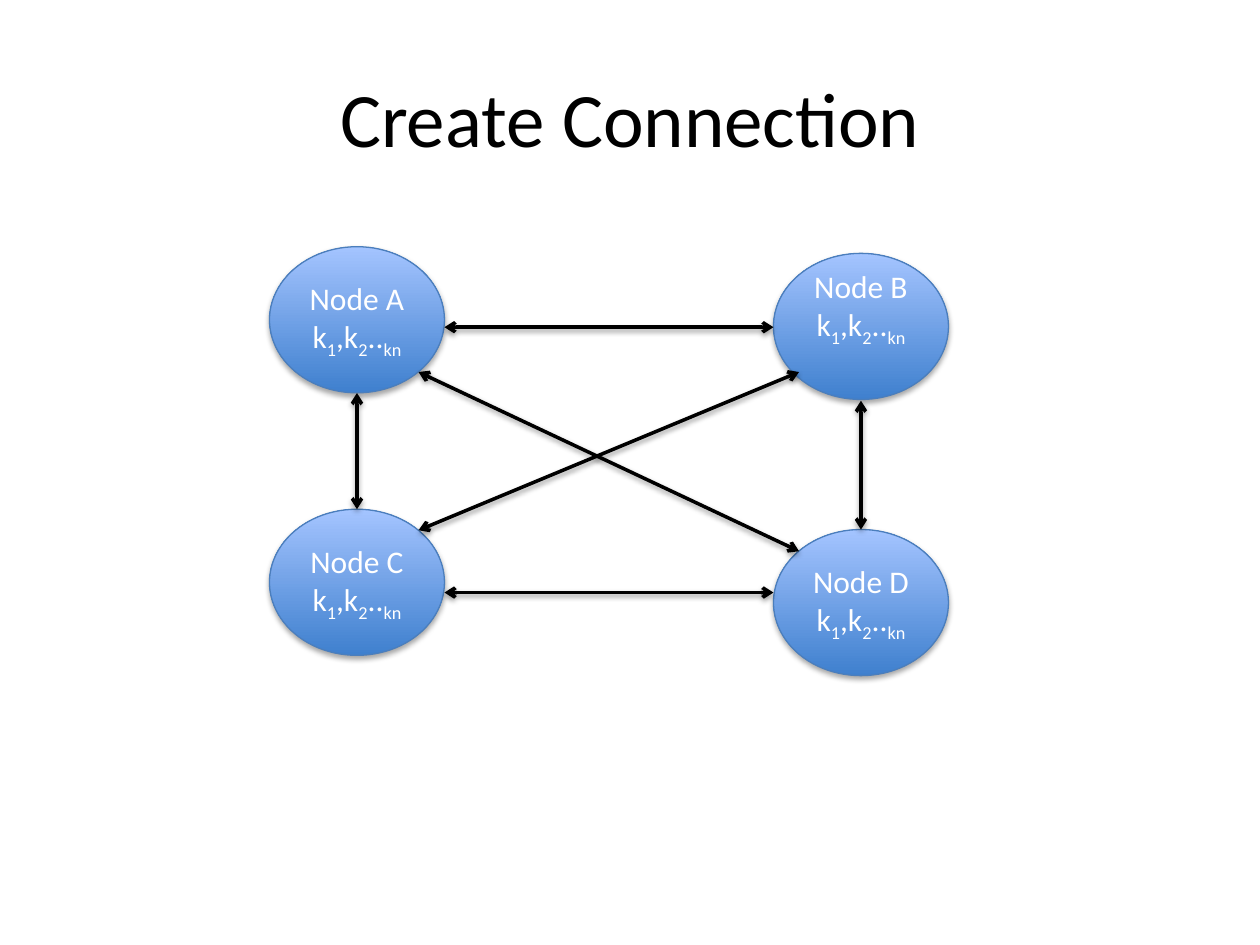
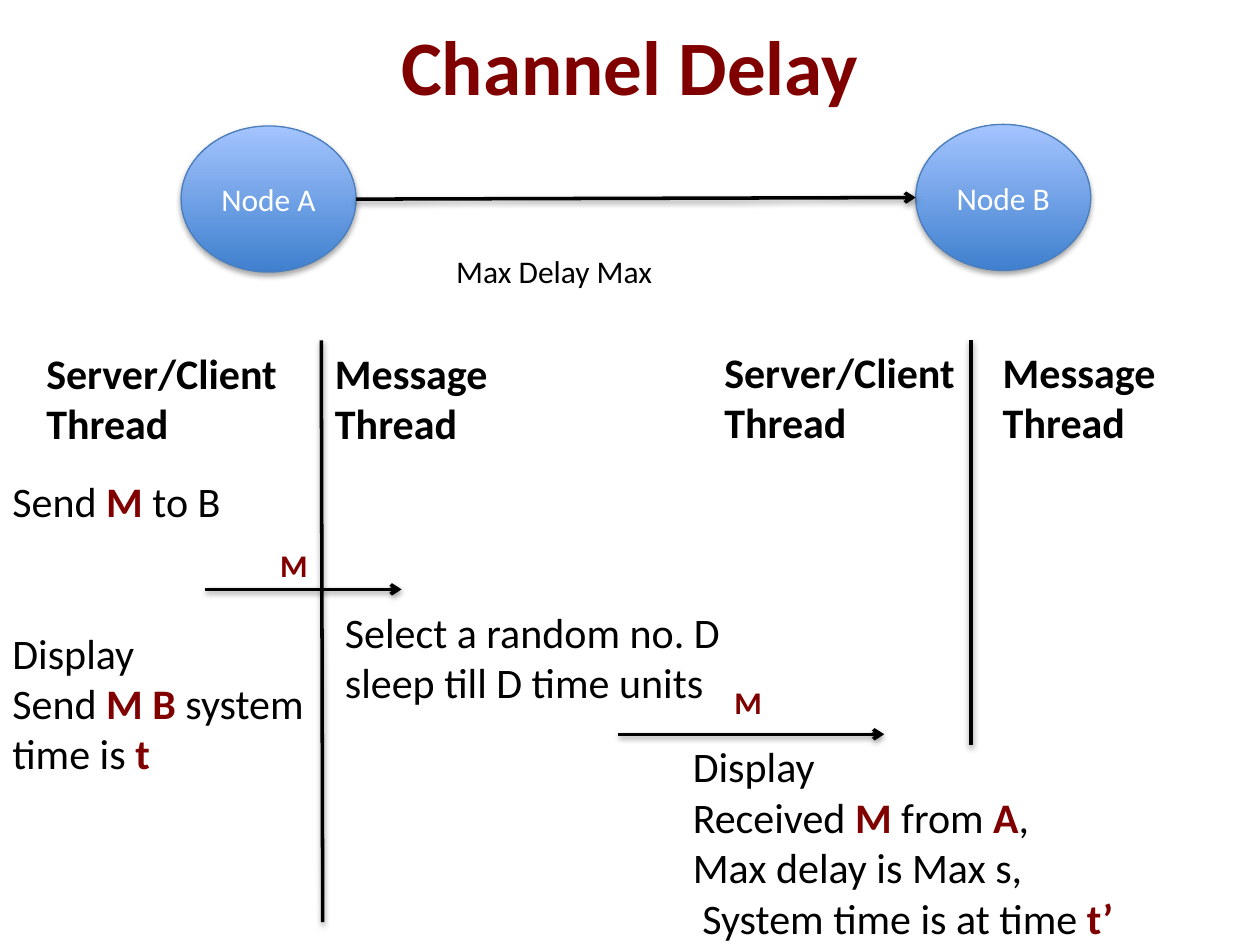
"""Build two slides on node connections and channel delay."""
import pptx
import pptx.dml.color
import pptx.enum.shapes
import pptx.enum.text
import pptx.oxml
import pptx.oxml.ns
import pptx.util

Pt = pptx.util.Pt
RGB = pptx.dml.color.RGBColor
ALIGN = pptx.enum.text.PP_ALIGN
ANCHOR = pptx.enum.text.MSO_ANCHOR
BLACK = RGB(0, 0, 0)
WHITE = RGB(255, 255, 255)
MAROON = RGB(0x80, 0, 0)
DEEP = RGB(0x3F, 0x80, 0xCE)
PALE = RGB(0xA4, 0xC4, 0xFF)
EDGE = RGB(0x4B, 0x7E, 0xBC)
NS = pptx.oxml.ns.nsdecls("a")
WIDE, HIGH = 100, 83.5
BOX = {"word_wrap": True, "vertical_anchor": ANCHOR.TOP}
DISC = {"word_wrap": True, "vertical_anchor": ANCHOR.MIDDLE}


def write(frame, lines, size, color=BLACK, bold=False, form=BOX, align=ALIGN.LEFT):
    """Fill a frame; *text* is bold maroon and _text_ is subscript."""
    for key, value in form.items():
        setattr(frame, key, value)
    for i, line in enumerate(lines):
        para = frame.paragraphs[0] if i == 0 else frame.add_paragraph()
        para.alignment = align
        mark = "_" if "_" in line else "*"
        for j, part in enumerate(line.split(mark)):
            if not part:
                continue
            run = para.add_run()
            run.text = part
            strong = j % 2 == 1 and mark == "*"
            style = {"name": "Calibri", "size": Pt(size), "bold": bold or strong}
            for key, value in style.items():
                setattr(run.font, key, value)
            run.font.color.rgb = MAROON if strong else color
            if j % 2 and mark == "_":
                run.font._element.set("baseline", "-25000")


def shade(shape, alpha, dist):
    """Give a shape a soft shadow below it."""
    shape._element.spPr.append(pptx.oxml.parse_xml(
        f'<a:effectLst {NS}><a:outerShdw blurRad="40000" dist="{dist}" dir="5400000" '
        f'rotWithShape="0"><a:srgbClr val="000000"><a:alpha val="{alpha}"/></a:srgbClr>'
        '</a:outerShdw></a:effectLst>'))


deck = pptx.Presentation()
deck.slide_width, deck.slide_height = Pt(720), Pt(540)

heads = [("Create Connection", 21.6, BLACK, False), ("Channel Delay", -8, MAROON, True)]
pages = []
for text, top, color, bold in heads:
    page = deck.slides.add_slide(deck.slide_layouts[5])
    title = page.shapes.title
    spot = {"left": 36, "top": top, "width": 648, "height": 90}
    for key, value in spot.items():
        setattr(title, key, Pt(value))
    write(title.text_frame, [text], 44, color, bold, DISC, ALIGN.CENTER)
    pages.append(page)
mesh, delay = pages

keys = ["k_1_,k_2_.._kn_"]
nodes = [
    (mesh, "A", 154, 141, keys, 3.6),
    (mesh, "B", 442, 144.8, keys, 25.2),
    (mesh, "C", 154, 291, keys, 3.6),
    (mesh, "D", 442, 302.6, keys, 3.6),
    (delay, "A", 103.5, 72, [], 3.6),
    (delay, "B", 523.3, 71.1, [], 3.6),
]
for page, name, left, top, extra, inset in nodes:
    node = page.shapes.add_shape(pptx.enum.shapes.MSO_SHAPE.OVAL,
                                 Pt(left), Pt(top), Pt(WIDE), Pt(HIGH))
    node.fill.gradient()
    node.fill.gradient_angle = 90
    for stop, color in zip(node.fill.gradient_stops, (DEEP, PALE)):
        stop.color.rgb = color
    node.line.color.rgb = EDGE
    node.line.width = Pt(0.75)
    shade(node, 35000, 23000)
    form = {**DISC, "margin_bottom": Pt(inset)}
    write(node.text_frame, [f"Node {name}"] + extra, 18, WHITE,
          form=form, align=ALIGN.CENTER)

both, tail = ("headEnd", "tailEnd"), ("tailEnd",)
lines = [
    (mesh, 492, 229, 492, 302.6, both),
    (mesh, 239.2, 212.6, 456.6, 315, both),
    (mesh, 204, 224.6, 204, 291, both),
    (mesh, 456.6, 212.6, 239.2, 303, both),
    (mesh, 442, 187, 254, 187, both),
    (mesh, 442, 338.6, 254, 338.6, both),
    (delay, 203.5, 113.8, 523.3, 112.9, tail),
    (delay, 183.6, 194.5, 184.4, 527, ()),
    (delay, 555, 194.5, 555, 426, ()),
    (delay, 117.3, 336.8, 229.5, 336.8, tail),
    (delay, 353.3, 419.6, 505.3, 419.6, tail),
]
for page, left, top, right, low, ends in lines:
    line = page.shapes.add_connector(pptx.enum.shapes.MSO_CONNECTOR.STRAIGHT,
                                     Pt(left), Pt(top), Pt(right), Pt(low))
    line.line.color.rgb = BLACK
    line.line.width = Pt(2)
    for end in ends:
        line.line._get_or_add_ln().append(
            pptx.oxml.parse_xml(f'<a:{end} {NS} type="arrow"/>'))
    shade(line, 38000, 20000)

server, message = ["Server/Client", "Thread"], ["Message", "Thread"]
sent = ["Send *M* to B", "Display", "Send *M B *system time is *t*"]
got = ["Display", "Received *M *from *A*,", "Max delay is Max s,",
       " System time is at time *t’*"]
sleep = ["Select a random no. D", "sleep till D time units"]
notes = [
    (388.8, 419.8, 264, 120, got, 24, False),
    (253.6, 140.6, 129, 29, ["Max Delay Max"], 18, False),
    (0, 268, 194.4, 181, sent, 24, False),
    (19.4, 194.8, 175, 65.5, server, 24, True),
    (184.3, 194.8, 104, 65.5, message, 24, True),
    (406.8, 194.4, 150, 65.5, server, 24, True),
    (565.9, 194.4, 104, 65.5, message, 24, True),
    (190, 343, 238.3, 94.3, sleep, 24, False),
    (153, 308.4, 32, 29, ["*M*"], 18, False),
    (412.6, 386.9, 32, 29, ["*M*"], 18, False),
]
for left, top, width, height, text, size, bold in notes:
    box = delay.shapes.add_textbox(Pt(left), Pt(top), Pt(width), Pt(height))
    write(box.text_frame, text, size, bold=bold)
    if text is sent:
        box.text_frame.paragraphs[1].space_before = Pt(58)

deck.save("out.pptx")
